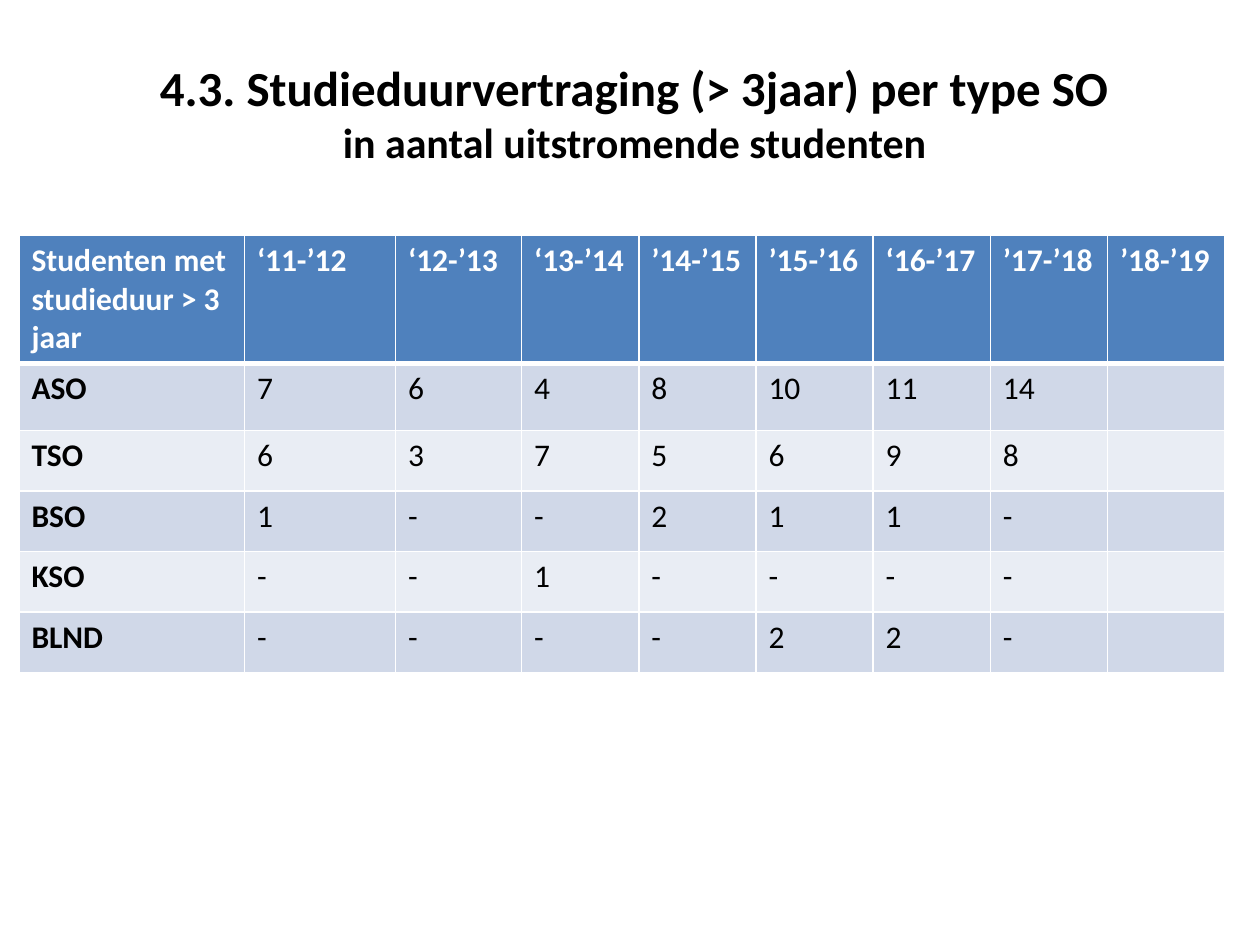
from dataclasses import dataclass

from lxml.etree import SubElement
from pptx import Presentation
from pptx.dml.color import RGBColor
from pptx.enum.text import MSO_ANCHOR, PP_ALIGN
from pptx.oxml.ns import qn
from pptx.util import Inches, Pt


@dataclass(frozen=True)
class Theme:
    font: str = "Calibri"
    ink: str = "000000"
    white: str = "FFFFFF"
    header: str = "4F81BD"
    bands: tuple = ("D0D8E8", "E9EDF4")
    title_pt: int = 28
    subtitle_pt: int = 24
    table_pt: int = 18
    rule_pt: int = 1
    header_rule_pt: int = 3


class Deck:
    """Builds slides in one style; positions are shares of the slide's size."""

    def __init__(self, theme, width=10, height=7.5):
        self.theme = theme
        self.prs = Presentation()
        self.prs.slide_width, self.prs.slide_height = Inches(width), Inches(height)
        self.s = self.prs.slides.add_slide(self.prs.slide_layouts[6])

    def x(self, share):
        return round(self.prs.slide_width * share)

    def y(self, share):
        return round(self.prs.slide_height * share)

    def style(self, p, size, color, bold):
        font = p.font
        font.name, font.size, font.bold = self.theme.font, Pt(size), bold
        font.color.rgb = RGBColor.from_string(color)

    def title(self, left, top, width, height, lines):
        """Add centred bold lines, given as (text, size) pairs."""
        box = self.s.shapes.add_textbox(self.x(left), self.y(top), self.x(width), self.y(height))
        tf = box.text_frame
        tf.word_wrap = True
        tf.vertical_anchor = MSO_ANCHOR.TOP
        for i, (text, size) in enumerate(lines):
            p = tf.add_paragraph() if i else tf.paragraphs[0]
            p.text, p.alignment = text, PP_ALIGN.CENTER
            self.style(p, size, self.theme.ink, True)

    def table(self, left, top, col_shares, row_shares, rows):
        th = self.theme
        frame = self.s.shapes.add_table(
            len(rows), len(col_shares), self.x(left), self.y(top),
            self.x(sum(col_shares)), self.y(sum(row_shares)))
        table = frame.table
        for col, share in zip(table.columns, col_shares):
            col.width = self.x(share)
        for row, share in zip(table.rows, row_shares):
            row.height = self.y(share)
        for r, values in enumerate(rows):
            is_header = r == 0
            fill = th.header if is_header else th.bands[(r - 1) % 2]
            color = th.white if is_header else th.ink
            for c, value in enumerate(values):
                cell = table.cell(r, c)
                cell.text = value
                self.style(cell.text_frame.paragraphs[0], th.table_pt, color, is_header or c == 0)
                self.borders(cell, top=th.header_rule_pt if r == 1 else th.rule_pt,
                             bottom=th.header_rule_pt if is_header else th.rule_pt)
                cell.fill.solid()
                cell.fill.fore_color.rgb = RGBColor.from_string(fill)

    def borders(self, cell, top, bottom):
        side = self.theme.rule_pt
        tc_pr = cell._tc.get_or_add_tcPr()
        for tag, width in (("a:lnL", side), ("a:lnR", side), ("a:lnT", top), ("a:lnB", bottom)):
            ln = SubElement(tc_pr, qn(tag), w=str(Pt(width)))
            SubElement(SubElement(ln, qn("a:solidFill")), qn("a:srgbClr"), val=self.theme.white)


def main():
    theme = Theme()
    deck = Deck(theme)
    rows = [
        ["Studenten met studieduur > 3 jaar", "‘11-’12", "‘12-’13", "‘13-’14", "’14-’15",
         "’15-’16", "‘16-’17", "’17-’18", "’18-’19"],
        ["ASO", "7", "6", "4", "8", "10", "11", "14", ""],
        ["TSO", "6", "3", "7", "5", "6", "9", "8", ""],
        ["BSO", "1", "-", "-", "2", "1", "1", "-", ""],
        ["KSO", "-", "-", "1", "-", "-", "-", "-", ""],
        ["BLND", "-", "-", "-", "-", "2", "2", "-", ""],
    ]
    col_shares = [share / 10 for share in [1.79, 1.2, 1] + [0.93] * 6]
    row_shares = [share / 7.5 for share in [0.94, 0.53] + [0.48] * 4]
    deck.table(0.015, 1.87 / 7.5, col_shares, row_shares, rows)
    deck.title(0.015, 0.41 / 7.5, 0.985, 1.31 / 7.5, [
        ("4.3. Studieduurvertraging (> 3jaar) per type SO ", theme.title_pt),
        ("in aantal uitstromende studenten ", theme.subtitle_pt),
    ])
    deck.prs.save("out.pptx")


if __name__ == "__main__":
    main()
